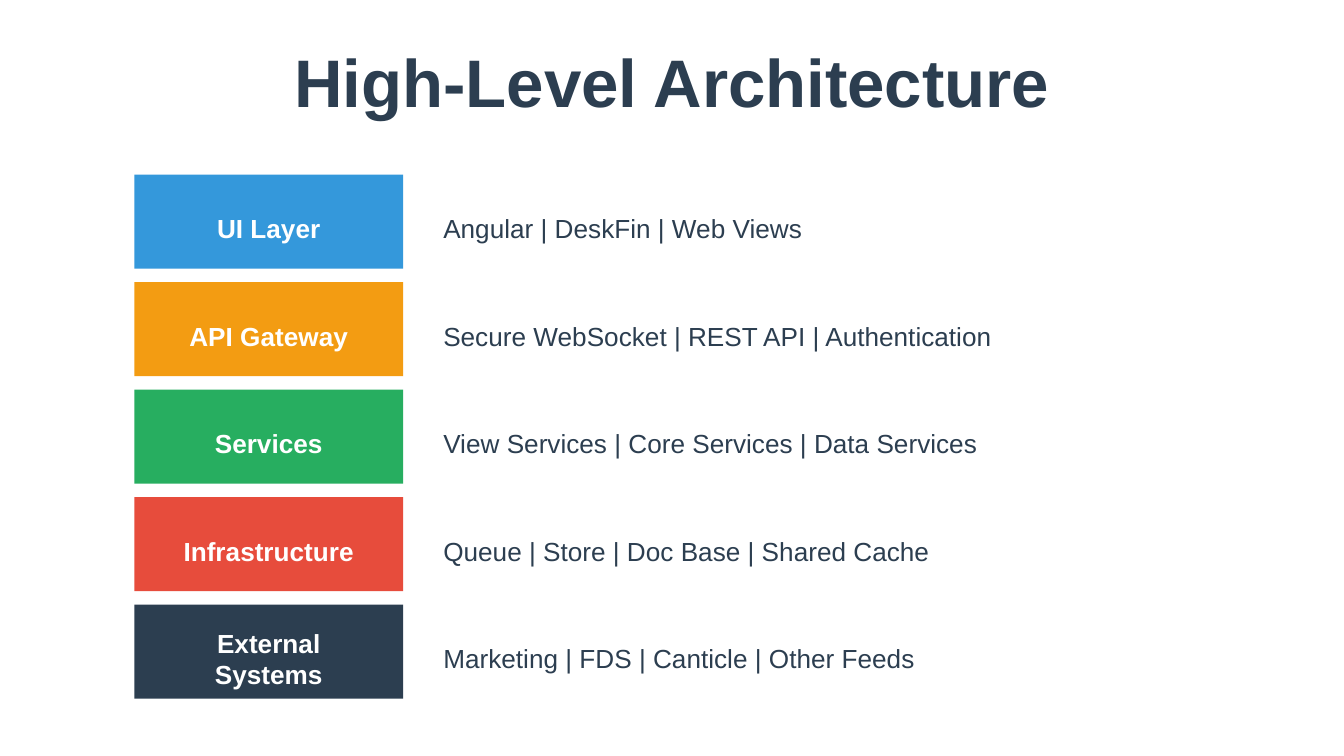
from dataclasses import dataclass

from pptx import Presentation
from pptx.dml.color import RGBColor
from pptx.enum.shapes import MSO_SHAPE as Shape
from pptx.enum.text import MSO_ANCHOR as Anchor, PP_ALIGN as Align
from pptx.util import Inches, Pt

TITLE = "High-Level Architecture"
LAYERS = [
    ("UI Layer", "Angular | DeskFin | Web Views", "3498DB"),
    ("API Gateway", "Secure WebSocket | REST API | Authentication", "F39C12"),
    ("Services", "View Services | Core Services | Data Services", "27AE60"),
    ("Infrastructure", "Queue | Store | Doc Base | Shared Cache", "E74C3C"),
    ("External Systems", "Marketing | FDS | Canticle | Other Feeds", "2C3E50"),
]


@dataclass(frozen=True)
class Theme:
    font: str = "Arial"
    dark: str = "2C3E50"
    light: str = "FFFFFF"
    title_size: int = 36
    body_size: int = 14


THEME = Theme()
PAGE_WIDTH = 10
PAGE_HEIGHT = PAGE_WIDTH * 9 / 16
FIRST_TOP, ROW_STEP = 1.3, 0.8
BLOCK_LEFT, BLOCK_WIDTH, BLOCK_HEIGHT = 1, 2, 0.7
TEXT_OFFSET, TEXT_HEIGHT = 0.15, 0.5
LABEL_INSET = 0.1
DETAIL_LEFT, DETAIL_WIDTH = 3.2, 5.8


def add_text(slide, text, left, top, width, height, *, size=THEME.body_size,
             color=THEME.dark, bold=False, align=Align.LEFT):
    box = slide.shapes.add_textbox(
        Inches(left), Inches(top), Inches(width), Inches(height))
    frame = box.text_frame
    frame.word_wrap = True
    frame.vertical_anchor = Anchor.MIDDLE
    para = frame.paragraphs[0]
    para.alignment = align
    span = para.add_run()
    span.text = text
    span.font.name = THEME.font
    span.font.size = Pt(size)
    span.font.bold = bold
    span.font.color.rgb = RGBColor.from_string(color)


def add_block(slide, top, color):
    block = slide.shapes.add_shape(
        Shape.RECTANGLE, Inches(BLOCK_LEFT), Inches(top),
        Inches(BLOCK_WIDTH), Inches(BLOCK_HEIGHT))
    block.shadow.inherit = False
    block.fill.solid()
    block.fill.fore_color.rgb = RGBColor.from_string(color)
    block.line.fill.background()


def add_layer(slide, top, label, detail, color):
    add_block(slide, top, color)
    text_top = top + TEXT_OFFSET
    add_text(slide, label, BLOCK_LEFT + LABEL_INSET, text_top,
             BLOCK_WIDTH - 2 * LABEL_INSET, TEXT_HEIGHT,
             color=THEME.light, bold=True, align=Align.CENTER)
    add_text(slide, detail, DETAIL_LEFT, text_top, DETAIL_WIDTH, TEXT_HEIGHT)


def main():
    deck = Presentation()
    deck.slide_width = Inches(PAGE_WIDTH)
    deck.slide_height = Inches(PAGE_HEIGHT)
    page = deck.slides.add_slide(deck.slide_layouts[6])
    page.background.fill.solid()
    page.background.fill.fore_color.rgb = RGBColor.from_string(THEME.light)

    add_text(page, TITLE, 0.5, 0.3, 9, 0.6, size=THEME.title_size,
             bold=True, align=Align.CENTER)
    for row, layer in enumerate(LAYERS):
        add_layer(page, FIRST_TOP + row * ROW_STEP, *layer)

    deck.save("out.pptx")


if __name__ == "__main__":
    main()
